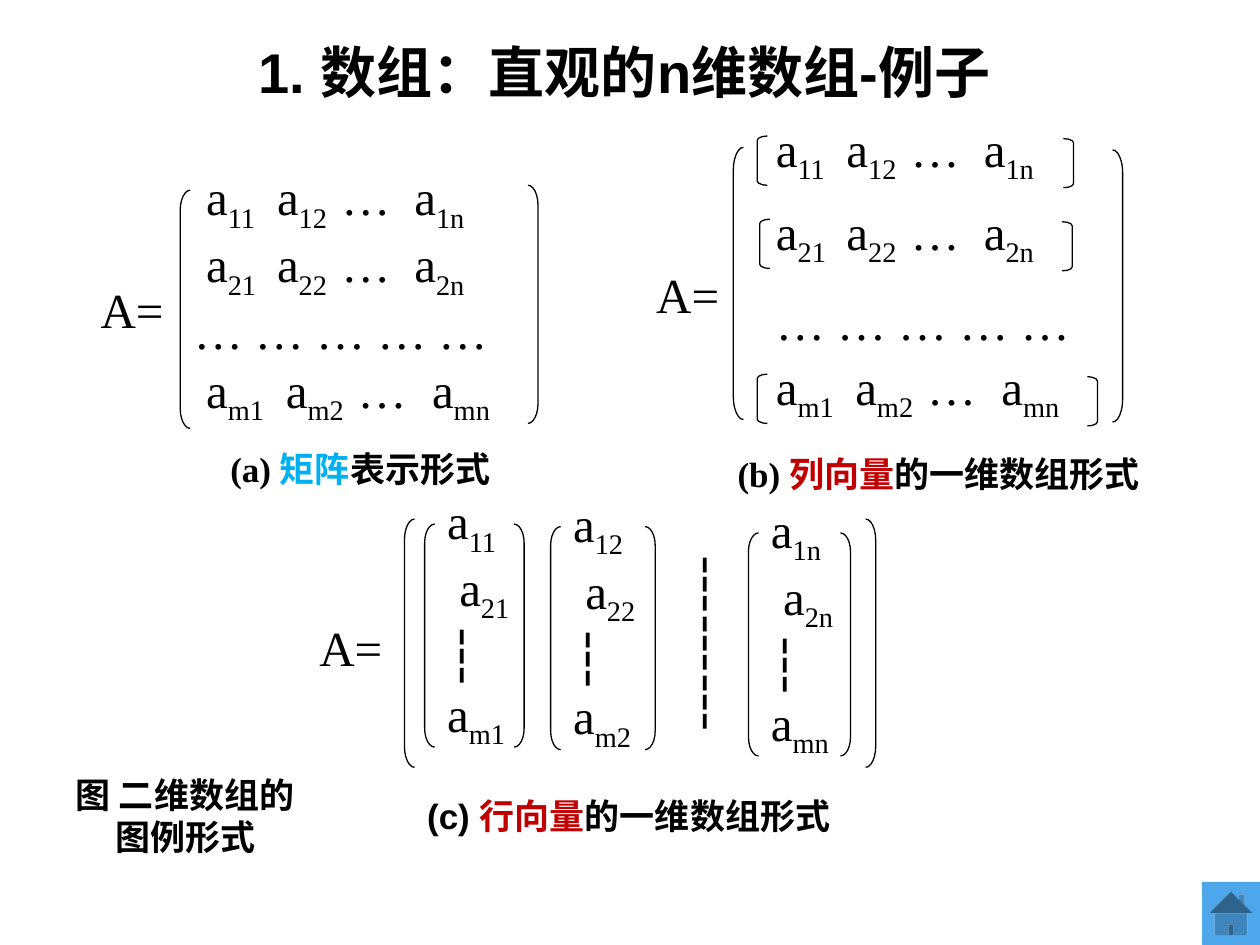
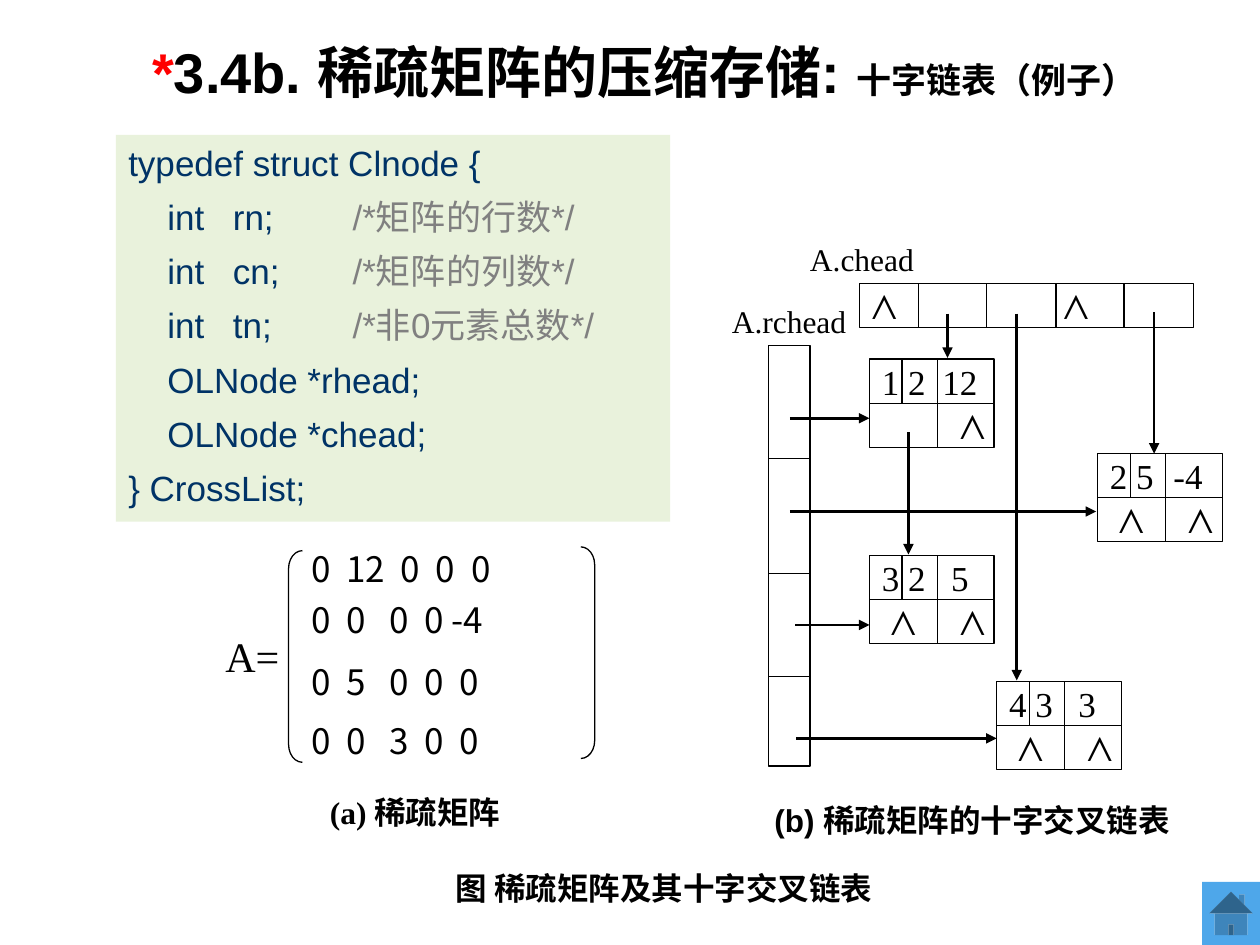
import lxml.etree
import pptx
import pptx.dml.color
import pptx.enum.shapes
import pptx.enum.text
import pptx.oxml.ns
import pptx.util

Inches = pptx.util.Inches
Pt = pptx.util.Pt
RGBColor = pptx.dml.color.RGBColor
MSO_SHAPE = pptx.enum.shapes.MSO_SHAPE
PP_ALIGN = pptx.enum.text.PP_ALIGN
qn = pptx.oxml.ns.qn

BLACK = RGBColor(0x00, 0x00, 0x00)
RED = RGBColor(0xFF, 0x00, 0x00)
DARK_RED = RGBColor(0xC0, 0x00, 0x00)
SKY = RGBColor(0x00, 0xB0, 0xF0)
NAVY = RGBColor(0x00, 0x33, 0x66)
GRAY = RGBColor(0x80, 0x80, 0x80)
PALE_GREEN = RGBColor(0xE9, 0xF2, 0xDC)
BUTTON_BLUE = RGBColor(0x4E, 0xA7, 0xEA)

ARIAL = "Arial"
TIMES = "Times New Roman"
NOTO = "Noto Sans CJK SC"

MATRIX_SIZE = 28
BRACKET_CURVE = 0.085
ROW_TABS = (0.56, 1.07, 1.65)
LAST_ROW_TABS = (0.63, 1.2, 1.79)
CELL_HEIGHT = 0.35
NODE_WIDTH = 0.99


def write(paragraph, text, size, font=TIMES, color=BLACK, bold=False, subscript=False):
    run = paragraph.add_run()
    run.text = text
    run.font.size = Pt(size)
    run.font.bold = bold
    run.font.color.rgb = color
    run.font.name = font
    properties = run.font._element
    if any(character > "⺀" for character in text):
        lxml.etree.SubElement(properties, qn("a:ea"), typeface=NOTO)
    if subscript:
        properties.set("baseline", "-25000")


def set_tabs(paragraph, positions, alignment="l"):
    properties = paragraph._p.get_or_add_pPr()
    tab_list = lxml.etree.SubElement(properties, qn("a:tabLst"))
    for position in positions:
        lxml.etree.SubElement(tab_list, qn("a:tab"), pos=str(Inches(position)), algn=alignment)


def format_frame(shape, wrap=False, anchor=pptx.enum.text.MSO_ANCHOR.MIDDLE):
    frame = shape.text_frame
    frame.auto_size = pptx.enum.text.MSO_AUTO_SIZE.NONE
    frame.word_wrap = wrap
    frame.vertical_anchor = anchor
    return frame


def add_paragraphs(frame, count, alignment=PP_ALIGN.LEFT):
    paragraphs = [frame.paragraphs[0]] + [frame.add_paragraph() for _ in range(count - 1)]
    for paragraph in paragraphs:
        paragraph.alignment = alignment
    return paragraphs


def add_text_box(slide, left, top, width, height, count=1, alignment=PP_ALIGN.LEFT, wrap=False):
    box = slide.shapes.add_textbox(Inches(left), Inches(top), Inches(width), Inches(height))
    return add_paragraphs(format_frame(box, wrap), count, alignment)


def add_label(slide, left, top, width, height, text, size, alignment=PP_ALIGN.LEFT):
    write(add_text_box(slide, left, top, width, height, 1, alignment)[0], text, size)


def add_caption(slide, left, top, width, height, size, runs):
    paragraph = add_text_box(slide, left, top, width, height, 1, PP_ALIGN.CENTER, True)[0]
    for text, font, color in runs:
        write(paragraph, text, size, font, color, True)


def add_shape(slide, kind, left, top, width, height, fill=None, line=BLACK):
    shape = slide.shapes.add_shape(kind, Inches(left), Inches(top), Inches(width), Inches(height))
    shape.shadow.inherit = False
    if fill is None:
        shape.fill.background()
    else:
        shape.fill.solid()
        shape.fill.fore_color.rgb = fill
    if line is None:
        shape.line.fill.background()
    else:
        shape.line.color.rgb = line
        shape.line.width = Pt(0.75)
    return shape


def add_brackets(slide, left, left_top, right, right_top, height, width=0.08):
    for kind, x, y in ((MSO_SHAPE.LEFT_BRACKET, left, left_top), (MSO_SHAPE.RIGHT_BRACKET, right, right_top)):
        bracket = add_shape(slide, kind, x, y, width, height)
        bracket.adjustments[0] = BRACKET_CURVE * height / width


def add_line(slide, x1, y1, x2, y2, arrow=False):
    connector = slide.shapes.add_connector(
        pptx.enum.shapes.MSO_CONNECTOR.STRAIGHT, Inches(x1), Inches(y1), Inches(x2), Inches(y2))
    connector.line.color.rgb = BLACK
    connector.line.width = Pt(1.5 if arrow else 0.75)
    if arrow:
        lxml.etree.SubElement(connector.line._get_or_add_ln(), qn("a:tailEnd"), type="triangle")
    lxml.etree.SubElement(connector._element.spPr, qn("a:effectLst"))


def start_slide(presentation, title_width, title_runs):
    slide = presentation.slides.add_slide(presentation.slide_layouts[5])
    title = slide.shapes.title
    title.left, title.top = Inches(1.08), Inches(0.3)
    title.width, title.height = Inches(title_width), Inches(0.53)
    paragraph = add_paragraphs(format_frame(title, True), 1, PP_ALIGN.CENTER)[0]
    for text, size, color in title_runs:
        write(paragraph, text, size, ARIAL, color, True)
    add_shape(slide, MSO_SHAPE.ACTION_BUTTON_HOME, 9.54, 7, 0.46, 0.5, BUTTON_BLUE, None)
    return slide


def write_entry(paragraph, subscript, prefix=""):
    write(paragraph, prefix + "a", MATRIX_SIZE)
    write(paragraph, subscript, MATRIX_SIZE, subscript=True)


def write_matrix_row(paragraph, row, indented=False):
    tabs = LAST_ROW_TABS if row == "m" else ROW_TABS
    set_tabs(paragraph, [tab + (0.1 if indented else 0) for tab in tabs])
    write_entry(paragraph, row + "1", " " if indented else "")
    write_entry(paragraph, row + "2", "\t")
    write_entry(paragraph, row + "n", "\t…\t")


def add_full_matrix(slide, left, top):
    paragraphs = add_text_box(slide, left + 0.74, top, 2.72, 1.93, 4)
    for paragraph, row in zip(paragraphs, ("1", "2", None, "m")):
        if row:
            write_matrix_row(paragraph, row, True)
        else:
            write(paragraph, "… … … … …", MATRIX_SIZE)
    add_label(slide, left, top + 0.83, 0.59, 0.47, "A=", MATRIX_SIZE)
    add_brackets(slide, left + 0.73, top + 0.12, left + 3.49, top + 0.08, 1.89)
    add_caption(slide, left + 0.66, top + 2.12, 3, 0.42, 20, (
        ("(a) ", TIMES, BLACK), ("矩阵", TIMES, SKY), ("表示形式", ARIAL, BLACK)))


def add_row_vectors(slide, left, top):
    add_label(slide, left, top + 1.09, 0.59, 0.47, "A=", MATRIX_SIZE)
    add_brackets(slide, left + 0.71, top + 0.16, left + 3.72, top + 0.18, 2.16)
    for row, y, bracket_left, bracket_right in (
            ("1", 0, 0.9, 3.33), ("2", 0.66, 0.92, 3.32), ("m", 1.89, 0.9, 3.52)):
        row_top = top + y
        write_matrix_row(add_text_box(slide, left + 0.95, row_top, 2.5, 0.39)[0], row)
        add_brackets(slide, left + bracket_left, row_top + 0.07, left + bracket_right, row_top + 0.09, 0.39)
    add_label(slide, left + 0.95, top + 1.34, 2.5, 0.39, "… … … … …", MATRIX_SIZE)
    add_caption(slide, left + 0.38, top + 2.54, 3.92, 0.42, 20, (
        ("(b) ", TIMES, BLACK), ("列向量", TIMES, DARK_RED), ("的一维数组形式", TIMES, BLACK)))


def add_column_vectors(slide, left, top):
    add_label(slide, left, top + 0.92, 0.67, 0.59, "A=", MATRIX_SIZE, PP_ALIGN.CENTER)
    for column, x, y, bracket_gap in (("1", 1, 0, 0.71), ("2", 2, 0.02, 0.75), ("n", 3.57, 0.07, 0.73)):
        column_left, column_top = left + x, top + y
        paragraphs = add_text_box(slide, column_left, column_top, 0.67, 2.01, 4)
        write_entry(paragraphs[0], "1" + column)
        write_entry(paragraphs[1], "2" + column, " ")
        write(paragraphs[2], "┆", MATRIX_SIZE)
        write_entry(paragraphs[3], "m" + column)
        bracket_left = column_left - 0.08
        add_brackets(slide, bracket_left, column_top + 0.24, bracket_left + bracket_gap, column_top + 0.24, 1.77)
    for paragraph in add_text_box(slide, left + 2.87, top + 0.28, 0.55, 1.77, 3, PP_ALIGN.CENTER):
        write(paragraph, "┆", MATRIX_SIZE)
    add_brackets(slide, left + 0.76, top + 0.2, left + 4.42, top + 0.2, 1.97)
    add_caption(slide, left + 0.58, top + 2.34, 3.92, 0.42, 20, (
        ("(c) ", ARIAL, BLACK), ("行向量", ARIAL, DARK_RED), ("的一维数组形式", ARIAL, BLACK)))


def build_array_slide(presentation):
    slide = start_slide(presentation, 7.75, (("1. 数组：直观的n维数组-例子", 32, BLACK),))
    add_full_matrix(slide, 0.7, 1.39)
    add_row_vectors(slide, 5.11, 1.01)
    add_column_vectors(slide, 2.45, 3.92)
    add_caption(slide, 0.44, 6.26, 2.06, 0.42, 20, (
        ("图 二维数组的图", ARIAL, BLACK), ("例形式", TIMES, BLACK)))


def add_code(slide, left, top, width, height):
    panel = add_shape(slide, MSO_SHAPE.RECTANGLE, left, top, width, height, PALE_GREEN, None)
    lines = (
        ("typedef struct Clnode {", ""),
        ("\tint\trn;", "/*矩阵的行数*/"),
        ("\tint\tcn;", "/*矩阵的列数*/"),
        ("\tint\ttn;", "/*非0元素总数*/"),
        ("\tOLNode *rhead;", ""),
        ("\tOLNode *chead;", ""),
        ("} CrossList;", ""),
    )
    frame = format_frame(panel, True, pptx.enum.text.MSO_ANCHOR.TOP)
    for paragraph, (code, comment) in zip(add_paragraphs(frame, len(lines)), lines):
        paragraph.space_before = Pt(7)
        set_tabs(paragraph, (0.31, 0.83, 1.78))
        write(paragraph, code, 20, ARIAL, NAVY)
        if comment:
            write(paragraph, "\t" + comment, 20, ARIAL, GRAY)


def add_sparse_matrix(slide, left, top):
    rows = (("0\t12\t0\t0\t0", 0, 0.71), ("0\t0\t0\t0 -4", 0.4, 0.62),
            ("0\t5\t0\t0\t0", 0.89, 0.62), ("0\t0\t3\t0\t0", 1.36, 0.62))
    for text, y, third in rows:
        paragraph = add_text_box(slide, left + 0.68, top + y, 2.19, 0.35)[0]
        set_tabs(paragraph, (0.28, third, third + 0.28, third + 0.56))
        write(paragraph, text, 20, NOTO)
    add_brackets(slide, left + 0.6, top + 0.03, left + 2.92, top, 1.68, 0.11)
    add_label(slide, left, top + 0.67, 0.6, 0.38, "A=", 24)
    add_caption(slide, left + 0.63, top + 1.94, 1.95, 0.33, 18, (
        ("(a) ", TIMES, BLACK), ("稀疏", ARIAL, BLACK), ("矩阵", NOTO, BLACK)))


def add_cell_row(slide, left, top, width, text, tabs, dividers, alignment="l"):
    cell = add_shape(slide, MSO_SHAPE.RECTANGLE, left, top, width, CELL_HEIGHT)
    paragraph = add_paragraphs(format_frame(cell), 1)[0]
    set_tabs(paragraph, tabs, alignment)
    write(paragraph, text, 20)
    for divider in dividers:
        add_line(slide, left + divider, top, left + divider, top + CELL_HEIGHT)


def add_node(slide, left, top, entry, links):
    add_cell_row(slide, left, top, NODE_WIDTH, entry, (0.62,), (0.26, 0.54), "ctr")
    add_cell_row(slide, left, top + CELL_HEIGHT, NODE_WIDTH, links, (0.62,), (0.54,))


def add_cross_list(slide, left, top):
    add_label(slide, left + 0.62, top, 0.96, 0.39, "A.chead", 18)
    add_label(slide, left, top + 0.49, 0.96, 0.39, "A.rchead", 18)
    add_cell_row(slide, left + 1.11, top + 0.39, 2.65, "⋀\t⋀", (1.52,), (0.47, 1.01, 1.56, 2.1))
    row_head = left + 0.39
    add_shape(slide, MSO_SHAPE.RECTANGLE, row_head, top + 0.88, 0.33, 3.34)
    for y in (1.78, 2.69, 3.51):
        add_line(slide, row_head, top + y, row_head + 0.33, top + y)
    for x, y, entry, links in (
            (1.19, 0.99, "1 2\t12", "\t⋀"), (1.19, 2.55, "3 2\t5", " ⋀\t⋀"),
            (3, 1.74, "2 5\t-4", " ⋀\t⋀"), (2.2, 3.55, "4 3\t3", " ⋀\t⋀")):
        add_node(slide, left + x, top + y, entry, links)
    for x, start, end in ((1.81, 0.63, 0.98), (2.36, 0.63, 3.54), (3.45, 0.62, 1.74), (1.5, 1.57, 2.54)):
        add_line(slide, left + x, top + start, left + x, top + end, True)
    for y, start, end in ((1.46, 0.56, 1.19), (2.2, 0.56, 2.99), (3.1, 0.6, 1.19), (4, 0.61, 2.2)):
        add_line(slide, left + start, top + y, left + end, top + y, True)
    add_caption(slide, left + 0.15, top + 4.48, 3.71, 0.33, 18, (
        ("(b) 稀疏", ARIAL, BLACK), ("矩阵的十字交叉链表", NOTO, BLACK)))


def build_sparse_slide(presentation):
    slide = start_slide(presentation, 8.07, (
        ("*", 32, RED), ("3.4b. 稀疏矩阵的压缩存储: ", 32, BLACK), ("十字链表（例子）", 20, BLACK)))
    add_code(slide, 0.92, 1.07, 4.4, 3.07)
    add_sparse_matrix(slide, 1.69, 4.34)
    add_cross_list(slide, 5.71, 1.86)
    add_caption(slide, 3.05, 6.84, 4.44, 0.41, 18, (
        ("图 稀疏", ARIAL, BLACK), ("矩阵", NOTO, BLACK),
        ("及其", ARIAL, BLACK), ("十字交叉链表", NOTO, BLACK)))


def main():
    presentation = pptx.Presentation()
    presentation.slide_width = Inches(10)
    presentation.slide_height = Inches(7.5)
    build_array_slide(presentation)
    build_sparse_slide(presentation)
    presentation.save("out.pptx")


if __name__ == "__main__":
    main()
